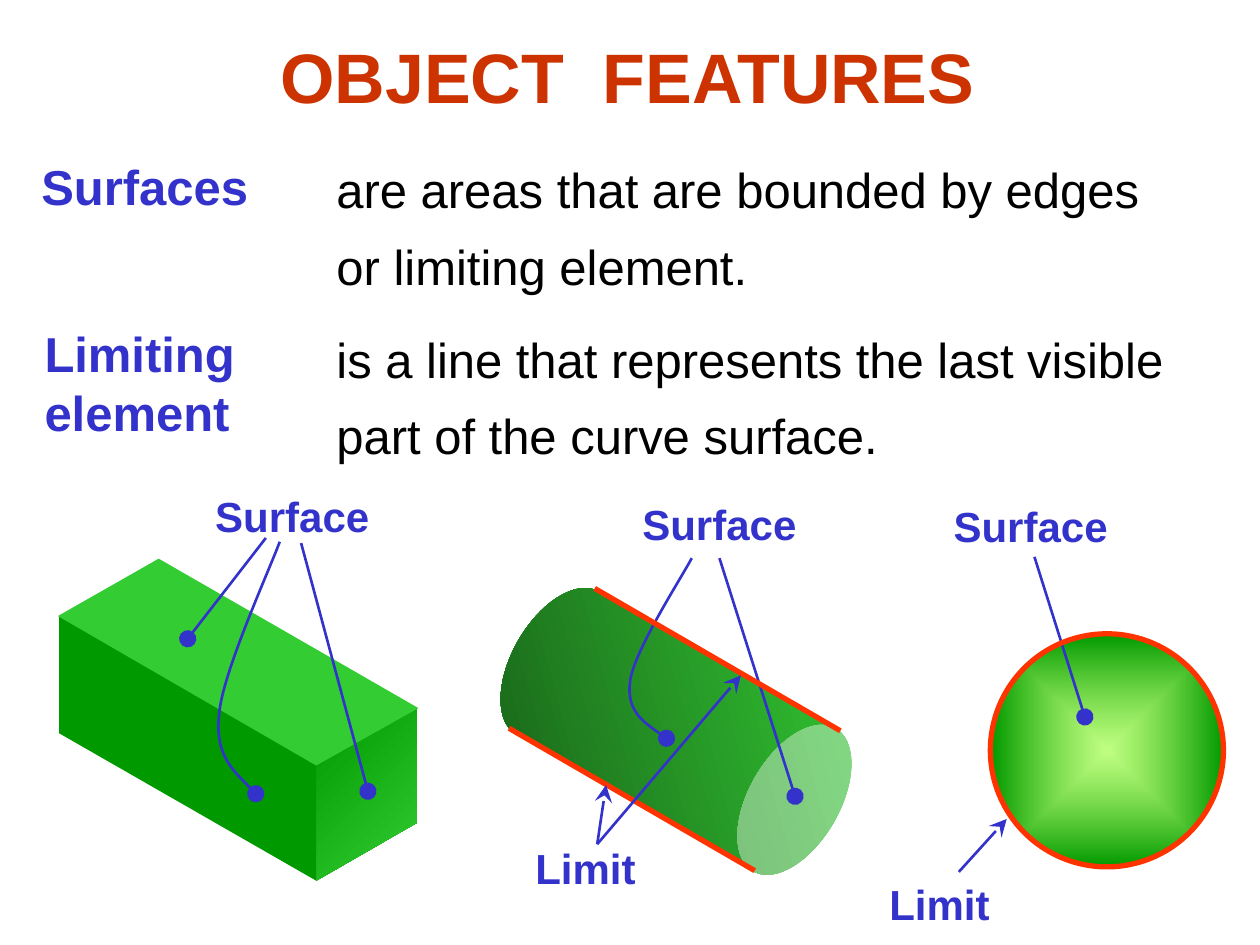
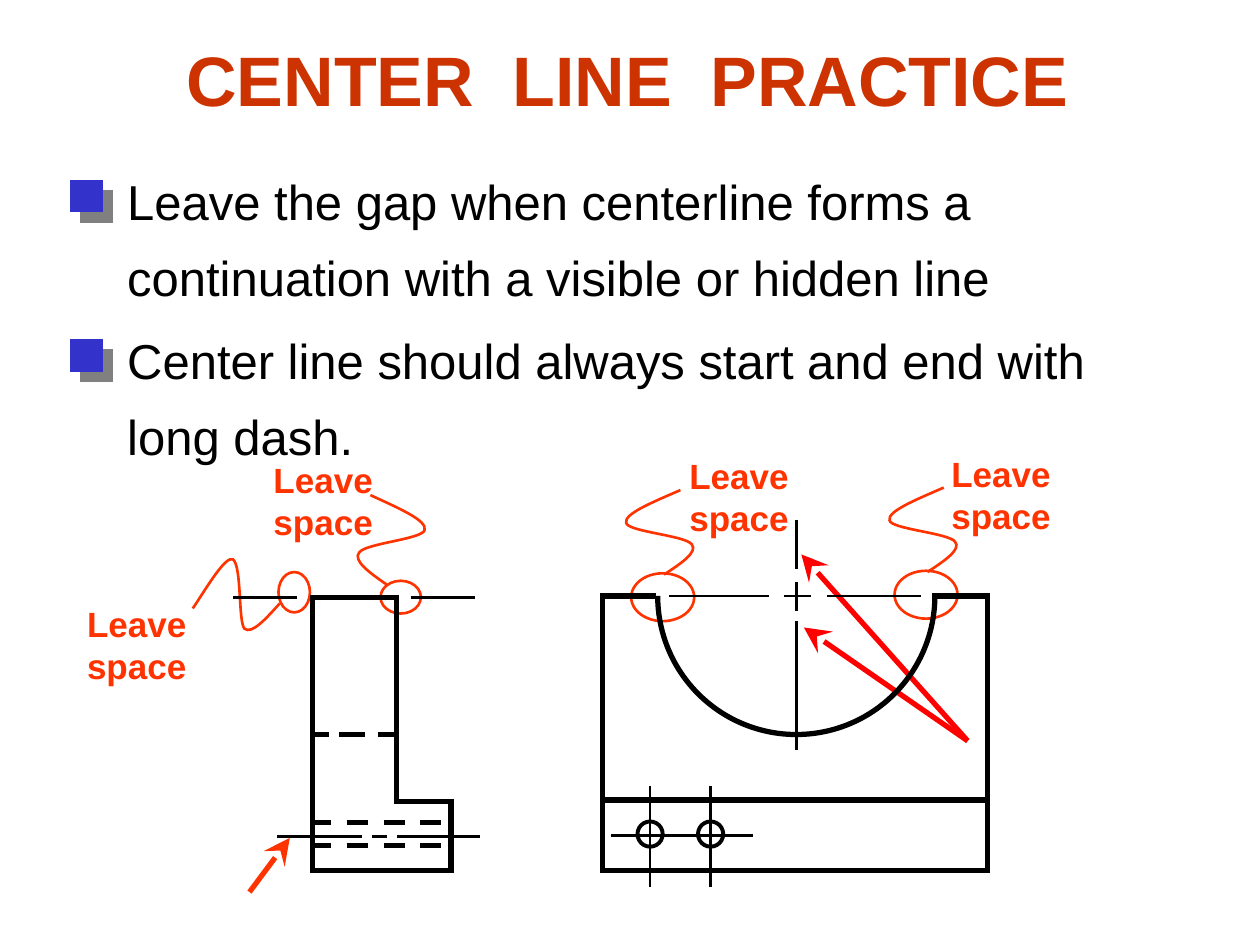
"""Build two technical-drawing slides on a grid of 100 columns by 75 rows."""
import pptx
import pptx.util
from lxml import etree
from pptx.dml.color import RGBColor
from pptx.enum.dml import MSO_LINE
from pptx.enum.shapes import MSO_CONNECTOR, MSO_SHAPE
from pptx.enum.text import MSO_ANCHOR, MSO_AUTO_SIZE, PP_ALIGN
from pptx.oxml.ns import qn

WIDTH, HEIGHT = pptx.util.Inches(10), pptx.util.Inches(7.5)
CELL = WIDTH // 100
FONT = "Arial"
BLACK = RGBColor(0x00, 0x00, 0x00)
TITLE_RED = RGBColor(0xCC, 0x33, 0x00)
BLUE = RGBColor(0x33, 0x33, 0xCC)
ORANGE = RGBColor(0xFF, 0x33, 0x00)
RED = RGBColor(0xFF, 0x00, 0x00)
GREY = RGBColor(0x80, 0x80, 0x80)
LEAF = RGBColor(0x33, 0xCC, 0x33)
GREEN = RGBColor(0x00, 0x99, 0x00)
FOREST = RGBColor(0x18, 0x5E, 0x18)
LIME = RGBColor(0x99, 0xFF, 0x33)
THIN, THICK = 1.5, 3
WAVE = [(0, 0), (1.4, -0.9), (2.7, -1.8), (2.2, -2.4), (1.7, -3.1), (-2.9, -3.4),
        (-3, -4.1), (-3.2, -4.8), (-1, -5.7), (1.3, -6.7)]


def grid(*cells):
    """Turn grid cells into slide lengths."""
    return [round(cell * CELL) for cell in cells]


def element(parent, tag, **attributes):
    """Append a DrawingML element and return it."""
    return etree.SubElement(parent, qn(f"a:{tag}"), {k: str(v) for k, v in attributes.items()})


def pen(line, color, width, dash=None, tail=None):
    """Set the colour, width, dash and large end mark of a line."""
    line.color.rgb = color
    line.width = pptx.util.Pt(width)
    if dash:
        line.dash_style = dash
    ln = line._get_or_add_ln()
    element(ln, "miter", lim=800000)
    if tail:
        element(ln, "tailEnd", type=tail, w="lg", len="lg")


def style(shape, fill=None, color=None, width=THIN, **ends):
    """Give a shape a plain fill and outline without a shadow."""
    shape.shadow.inherit = False
    if fill is None:
        shape.fill.background()
    else:
        shape.fill.solid()
        shape.fill.fore_color.rgb = fill
    if color is None:
        shape.line.fill.background()
    else:
        pen(shape.line, color, width, **ends)
    return shape


def gradient(shape, stops, radial=False):
    """Replace a fill by a diagonal or a centred gradient of (colour, opacity) stops."""
    properties = shape._element.spPr
    fill = etree.Element(qn("a:gradFill"), rotWithShape="1")
    stop_list = element(fill, "gsLst")
    for position, (color, opacity) in zip((0, 100000), stops):
        stop = element(element(stop_list, "gs", pos=position), "srgbClr", val=color)
        if opacity < 100:
            element(stop, "alpha", val=opacity * 1000)
    if radial:
        element(element(fill, "path", path="shape"), "fillToRect", l=50000, t=50000, r=50000, b=50000)
    else:
        element(fill, "lin", ang=45 * 60000, scaled=1)
    properties.replace(properties.find(qn("a:noFill")), fill)


def preset(slide, kind, box, **look):
    """Add a preset shape."""
    return style(slide.shapes.add_shape(kind, *grid(*box)), **look)


def outline(slide, points, closed=False, **look):
    """Add a freeform through the given points."""
    corners = [grid(*point) for point in points]
    builder = slide.shapes.build_freeform(*corners[0])
    builder.add_line_segments(corners[1:], close=closed)
    return style(builder.convert_to_shape(), **look)


def curve(slide, controls, color, **ends):
    """Add an open curve from cubic Bezier control points."""
    shape = outline(slide, controls, color=color, **ends)
    segments = list(shape._element.iter(qn("a:lnTo")))
    outline_path = segments[0].getparent()
    for first in range(0, len(segments), 3):
        bend = element(outline_path, "cubicBezTo")
        for segment in segments[first:first + 3]:
            bend.append(segment[0])
            outline_path.remove(segment)


def rule(slide, x1, y1, x2, y2, color=BLACK, width=THIN, **ends):
    """Add a straight line."""
    connector = slide.shapes.add_connector(MSO_CONNECTOR.STRAIGHT, *grid(x1, y1, x2, y2))
    pen(connector.line, color, width, **ends)
    element(connector._element.spPr, "effectLst")


def write(paragraph, lines, size, color, bold=False):
    """Write lines into one paragraph, run by run."""
    for number, words in enumerate(lines):
        if number:
            paragraph.add_line_break()
        run = paragraph.add_run()
        run.text = words
        run.font.name, run.font.size = FONT, pptx.util.Pt(size)
        run.font.bold, run.font.color.rgb = bold, color


def label(slide, box, lines, size=24, color=BLUE, align=PP_ALIGN.LEFT):
    """Add a bold label."""
    frame = slide.shapes.add_textbox(*grid(*box)).text_frame
    frame.word_wrap = False
    frame.paragraphs[0].alignment = align
    write(frame.paragraphs[0], lines, size, color, True)


def place(placeholder, box):
    """Move a placeholder and return its text frame."""
    placeholder.left, placeholder.top, placeholder.width, placeholder.height = grid(*box)
    placeholder.text_frame.auto_size = MSO_AUTO_SIZE.NONE
    placeholder.text_frame.word_wrap = True
    return placeholder.text_frame


def start_slide(deck, title, title_top, body_box, statements):
    """Add a slide with its title and widely spaced (words, space before) statements."""
    slide = deck.slides.add_slide(deck.slide_layouts[1])
    heading = place(slide.shapes.title, (7.3, title_top, 85, 8.3))
    heading.vertical_anchor = MSO_ANCHOR.MIDDLE
    heading.paragraphs[0].alignment = PP_ALIGN.CENTER
    write(heading.paragraphs[0], [title], 40, TITLE_RED, True)
    body = place(slide.placeholders[1], body_box)
    for number, (words, gap) in enumerate(statements):
        paragraph = body.add_paragraph() if number else body.paragraphs[0]
        properties = paragraph._p.get_or_add_pPr()
        properties.set("marL", "0")
        properties.set("indent", "0")
        element(properties, "buNone")
        paragraph.line_spacing = 1.3
        paragraph.space_before = pptx.util.Pt(gap)
        write(paragraph, [words], 28, BLACK)
    return slide


def draw_block(slide):
    """Draw the rectangular block with its three surfaces."""
    corner, left, low_left, low = (25.1, 60.7), (4.7, 48.9), (4.7, 58.2), (25.1, 69.9)
    right, low_right, back = (33.1, 56.2), (33.1, 65.3), (12.6, 44.4)
    end = outline(slide, [corner, low, low_right, right], True)
    gradient(end, [(GREEN, 100), (LEAF, 100)])
    outline(slide, [corner, left, low_left, low], True, fill=GREEN)
    outline(slide, [corner, left, back, right], True, fill=LEAF, color=LEAF, width=0.75)
    label(slide, (16.1, 38.4, 14.3, 5), ["Surface"])
    rule(slide, 21.1, 42.7, 14.9, 50.7, BLUE, tail="oval")
    rule(slide, 23.9, 43.1, 29.2, 62.8, BLUE, tail="oval")
    curve(slide, [(22.2, 43), (21.4, 45.2), (17.7, 53.3), (17.4, 56.6),
                  (17, 60), (18.9, 61.5), (20.3, 63)], BLUE, tail="oval")


def draw_cylinder(slide):
    """Draw the cylinder with its surfaces and limits."""
    cylinder = preset(slide, MSO_SHAPE.CAN, (47.1, 43.6, 13.1, 28.9))
    cylinder.adjustments[0] = 0.55
    cylinder.rotation = 120
    gradient(cylinder, [(LEAF, 100), (FOREST, 100)])
    label(slide, (50, 39.1, 14.3, 5), ["Surface"])
    rule(slide, 57.1, 44.3, 63.1, 63.2, BLUE, tail="oval")
    curve(slide, [(54.9, 44.3), (54, 46), (50.3, 51.7), (50, 54.1),
                  (49.7, 56.5), (51.5, 57.6), (52.9, 58.6)], BLUE, tail="oval")
    for x, y in ((47.2, 46.7), (40.4, 57.8)):
        rule(slide, x + 19.5, y + 11.3, x, y, ORANGE, THICK)
    for tip in ((48.1, 62.3), (58.8, 53.6)):
        rule(slide, 47.4, 67, *tip, BLUE, tail="stealth")
    label(slide, (41.5, 66.4, 10, 5), ["Limit"])


def draw_ball(slide):
    """Draw the ball with its surface and limit."""
    ball = (78.6, 50.3, 18.5, 18.5)
    gradient(preset(slide, MSO_SHAPE.OVAL, ball), [(LIME, 60), (GREEN, 100)], radial=True)
    label(slide, (74.7, 39.2, 14.3, 5), ["Surface"])
    rule(slide, 82.1, 44.2, 86.1, 56.9, BLUE, tail="oval")
    preset(slide, MSO_SHAPE.OVAL, ball, color=ORANGE, width=THICK)
    rule(slide, 76.1, 69.2, 79.9, 65, BLUE, tail="stealth")
    label(slide, (69.6, 69.2, 10, 5), ["Limit"])


def gap_note(slide, ring, leader, words_at):
    """Circle a gap and lead a wavy line to its note."""
    preset(slide, MSO_SHAPE.OVAL, ring, color=ORANGE)
    curve(slide, leader, ORANGE)
    label(slide, (*words_at, 9.9, 7.7), ["Leave", "space"], 20, ORANGE, PP_ALIGN.CENTER)


def wave(x, y, side=1, stretch=1):
    """Return the leader wave, mirrored when side is -1."""
    return [(x + side * dx, y + stretch * dy) for dx, dy in WAVE]


def shadowed_bullet(slide, y):
    """Add a square bullet with a hard grey shadow."""
    square = preset(slide, MSO_SHAPE.RECTANGLE, (5.6, y, 2.5, 2.5), fill=BLUE, color=BLUE, width=0.75)
    effects = square._element.spPr.find(qn("a:effectLst"))
    shadow = element(effects, "outerShdw", blurRad=0, dist=pptx.util.Pt(8.5), dir=45 * 60000,
                     algn="ctr", rotWithShape=0)
    element(shadow, "srgbClr", val=GREY)


def draw_front_view(slide):
    """Draw the plate with its round cut and two holes."""
    for y1, y2 in ((41.3, 45.2), (46.2, 48.5), (49.3, 59.5)):
        rule(slide, 63.2, y1, 63.2, y2)
    outline(slide, [(52.1, 47.3), (47.8, 47.3), (47.8, 69.1), (78.4, 69.1), (78.4, 47.3), (74, 47.3)],
            color=BLACK, width=THICK)
    cut = preset(slide, MSO_SHAPE.ARC, (52.2, 36.3, 22, 22), color=BLACK, width=THICK)
    cut.adjustments[0], cut.adjustments[1] = 0, 108
    for x1, x2 in ((53.1, 61), (62.2, 64.4), (65.6, 73.1)):
        rule(slide, x1, 47.3, x2, 47.3)
    rule(slide, 47.8, 63.5, 78.4, 63.5, width=THICK)
    for x in (51.6, 56.4):
        preset(slide, MSO_SHAPE.OVAL, (x - 1, 65.2, 2, 2), color=BLACK, width=2.25)
        rule(slide, x, 62.4, x, 70.4)
    rule(slide, 48.5, 66.3, 59.8, 66.3)


def draw_side_view(slide):
    """Draw the stepped side with its hidden and center lines."""
    for x in (18.5, 32.6):
        rule(slide, x, 47.4, x + 5.1, 47.4)
    outline(slide, [(24.8, 47.4), (31.5, 47.4), (31.5, 63.6), (35.8, 63.6), (35.8, 69.1), (24.8, 69.1)],
            True, color=BLACK, width=THICK)
    for y in (65.3, 67.1):
        rule(slide, 24.6, y, 35.8, y, width=THICK, dash=MSO_LINE.DASH)
    for x1, x2 in ((24.6, 26.1), (26.9, 29), (30, 31.6)):
        rule(slide, x1, 58.3, x2, 58.3, width=THICK)
    for x1, x2 in ((22, 28.7), (29.5, 30.7), (31.5, 38.1)):
        rule(slide, x1, 66.4, x2, 66.4)


def main():
    """Build and save both slides."""
    deck = pptx.Presentation()
    deck.slide_width, deck.slide_height = WIDTH, HEIGHT

    features = start_slide(deck, "OBJECT  FEATURES", 1.85, (25.7, 10.8, 73, 27), [
        ("are areas that are bounded by edges", 0), ("or limiting element.", 0),
        ("is a line that represents the last visible", 9.5), ("part of the curve surface.", 0)])
    label(features, (2.3, 11.9, 19.7, 5.7), ["Surfaces"], 28)
    label(features, (2.55, 25.2, 17.9, 10.3), ["Limiting", "element"], 28)
    draw_block(features)
    draw_cylinder(features)
    draw_ball(features)

    practice = start_slide(deck, "CENTER  LINE  PRACTICE", 2.1, (9.1, 11.7, 89.3, 26), [
        ("Leave the gap when centerline forms a continuation with a visible or hidden line", 0),
        ("Center line should always start and end with", 3.5), ("long dash.", 0)])
    for y in (14.3, 26.95):
        shadowed_bullet(practice, y)
    gap_note(practice, (71, 45.3, 5, 3.8), wave(73.6, 45.4), (74.5, 35.4))
    gap_note(practice, (50.1, 45.5, 5, 3.8), wave(52.7, 45.6), (53.7, 35.6))
    gap_note(practice, (30.2, 46.1, 3.2, 2.6), wave(30.7, 46.4, -1, 1.06), (20.7, 35.9))
    gap_note(practice, (22.1, 45.4, 2.5, 3.2),
             [(15.3, 48.3), (16.5, 46.5), (17.9, 44.1), (18.5, 44.4), (19.2, 45), (18.9, 49.3),
              (19.4, 49.9), (20, 50.4), (21.2, 49), (22.2, 47.9)], (5.9, 47.3))
    rule(practice, 19.8, 70.8, 23, 66.5, ORANGE, THICK, tail="stealth")
    for tip in ((63.8, 49.8), (63.6, 44)):
        rule(practice, 76.8, 58.8, *tip, RED, THICK, tail="stealth")
    draw_front_view(practice)
    draw_side_view(practice)
    deck.save("out.pptx")


if __name__ == "__main__":
    main()
